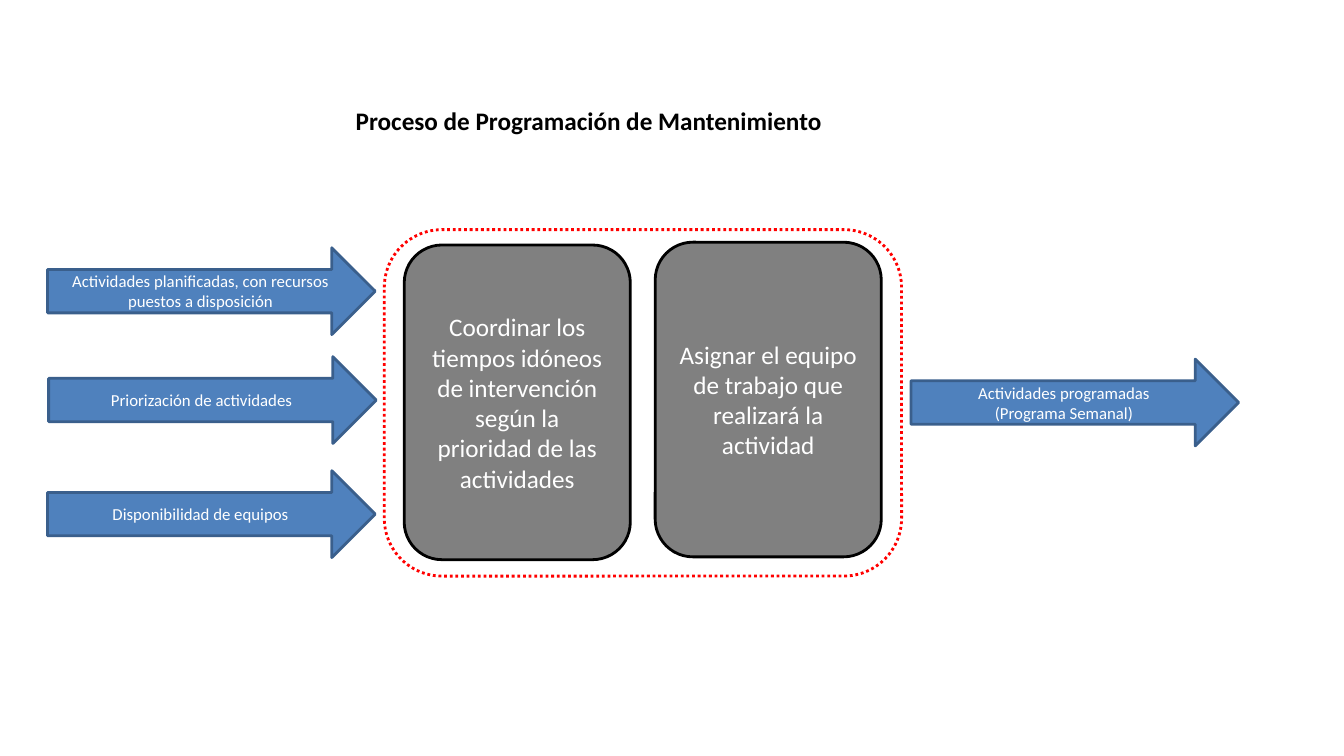
from dataclasses import dataclass

from pptx import Presentation
from pptx.dml.color import RGBColor as RGB
from pptx.enum.dml import MSO_LINE as Dash
from pptx.enum.shapes import MSO_SHAPE as Shape
from pptx.enum.text import MSO_ANCHOR as Anchor, MSO_AUTO_SIZE as AutoSize, PP_ALIGN as Align
from pptx.util import Pt


@dataclass(frozen=True)
class Theme:
    """Colours, font and sizes of the slide."""
    font: str = "Calibri"
    white: RGB = RGB(255, 255, 255)
    black: RGB = RGB(0, 0, 0)
    red: RGB = RGB(255, 0, 0)
    grey: RGB = RGB(0x80, 0x80, 0x80)
    blue: RGB = RGB(0x4F, 0x81, 0xBD)
    navy: RGB = RGB(0x3A, 0x5F, 0x8C)
    large: int = 18
    small: int = 12
    line: int = 2


class Diagram:
    """Draws process elements on one slide."""

    def __init__(self, slide, theme):
        self.s, self.t = slide, theme

    def add_lines(self, tf, lines, size, color, bold=False):
        """Fill a text frame with centred paragraphs."""
        tf.word_wrap = True
        style = {"name": self.t.font, "size": Pt(size), "bold": bold}
        for i, line in enumerate(lines):
            p = tf.paragraphs[0] if i == 0 else tf.add_paragraph()
            p.alignment = Align.CENTER
            r = p.add_run()
            r.text = line
            for key, value in style.items():
                setattr(r.font, key, value)
            r.font.color.rgb = color

    def shape(self, kind, box, fill, line):
        """Add an outlined preset shape without shadow."""
        sp = self.s.shapes.add_shape(kind, *map(Pt, box))
        sp.shadow.inherit = False
        sp.fill.solid()
        sp.fill.fore_color.rgb = fill
        sp.line.color.rgb = line
        sp.line.width = Pt(self.t.line)
        sp.text_frame.vertical_anchor = Anchor.MIDDLE
        return sp

    def frame(self, *box):
        """Add the dotted frame around the process."""
        sp = self.shape(Shape.ROUNDED_RECTANGLE, box, self.t.white, self.t.red)
        sp.line.dash_style = Dash.ROUND_DOT

    def step(self, x, y, text):
        """Add a grey process step."""
        sp = self.shape(Shape.ROUNDED_RECTANGLE, (x, y, 161.5, 224.75), self.t.grey, self.t.black)
        self.add_lines(sp.text_frame, [text], self.t.large, self.t.white)

    def arrow(self, x, y, *lines):
        """Add a blue input or output arrow."""
        sp = self.shape(Shape.RIGHT_ARROW, (x, y, 234, 62), self.t.blue, self.t.navy)
        self.add_lines(sp.text_frame, lines, self.t.small, self.t.white)

    def title(self, text, *box):
        """Add the bold heading."""
        tf = self.s.shapes.add_textbox(*map(Pt, box)).text_frame
        tf.auto_size = AutoSize.SHAPE_TO_FIT_TEXT
        self.add_lines(tf, [text], self.t.large, self.t.black, bold=True)


def main():
    """Build and save the slide."""
    prs = Presentation()
    prs.slide_width, prs.slide_height = Pt(960), Pt(540)
    d = Diagram(prs.slides.add_slide(prs.slide_layouts[6]), Theme())
    d.frame(274.5, 164, 369.5, 247.5)
    d.step(288.75, 175, "Coordinar los tiempos idóneos de intervención según la "
                        "prioridad de las actividades")
    d.step(468, 173, "Asignar el equipo de trabajo que realizará la actividad")
    inputs = [
        (34, 177, "Actividades planificadas, con recursos puestos a disposición"),
        (34.75, 254.75, "Priorización de actividades"),
        (34, 336.25, "Disponibilidad de equipos"),
    ]
    for x, y, text in inputs:
        d.arrow(x, y, text)
    d.arrow(650.75, 256.5, "Actividades programadas", "(Programa Semanal)")
    d.title("Proceso de Programación de Mantenimiento", 197.25, 71.5, 446.5, 29)
    prs.save("out.pptx")


if __name__ == "__main__":
    main()
